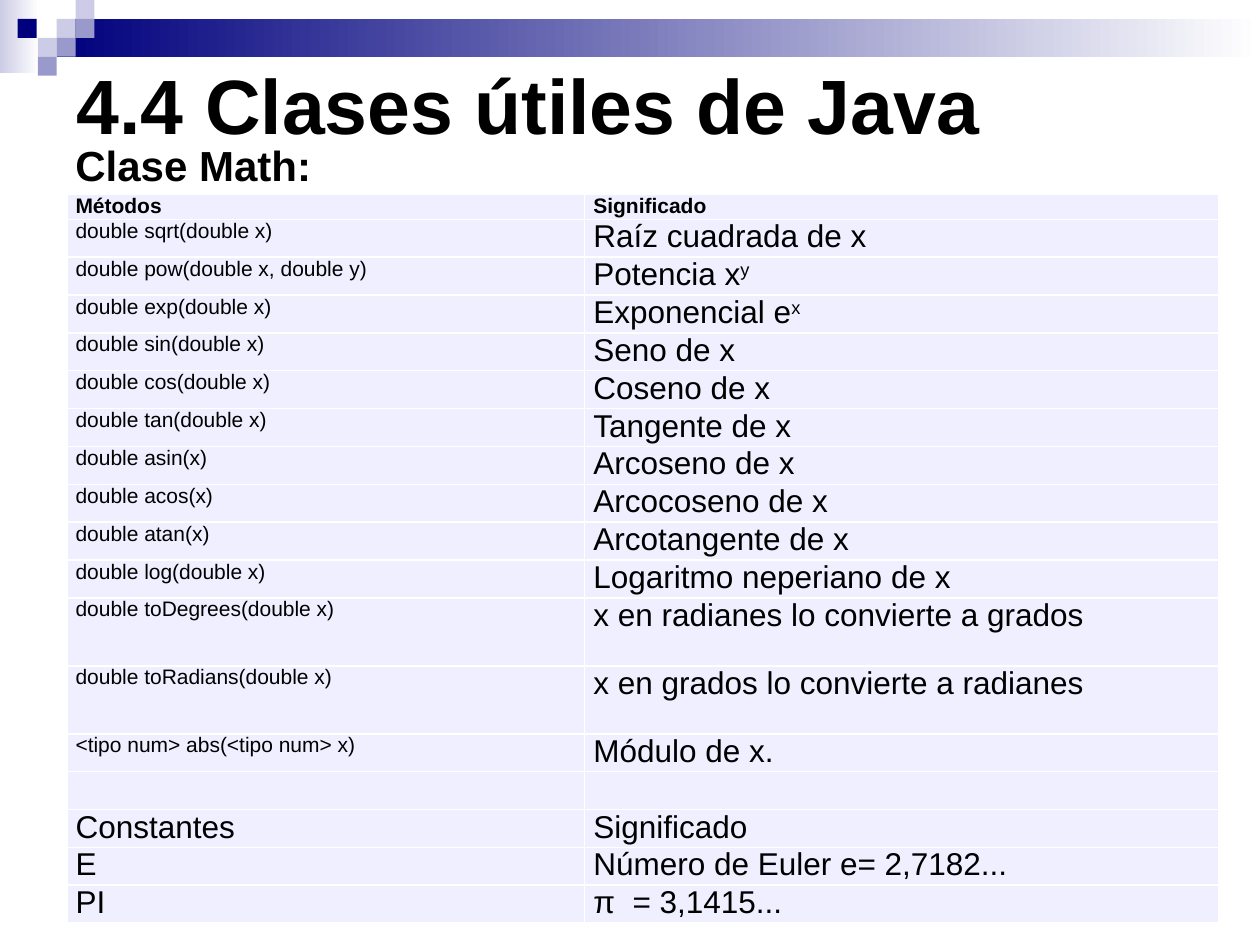
from lxml.etree import SubElement
from pptx import Presentation
from pptx.dml.color import RGBColor
from pptx.enum.shapes import MSO_SHAPE as Shape
from pptx.enum.text import MSO_ANCHOR as Anchor, PP_ALIGN as Align
from pptx.oxml.ns import qn
from pptx.util import Inches, Pt

NAVY, MID, PALE, WHITE = "00007D", "9999CC", "CCCCE6", "FFFFFF"
CELL, BLACK = "EFEFFF", "000000"
UNIT = 0.15  # side of a corner square

BARS = [(0, 0, 0.31, 0.58, PALE), (0.45, 0.15, 9.55, 0.3, NAVY)]
SQUARES = [
    (0.45, 0.15, PALE), (0.6, 0, PALE), (0.6, 0.15, MID), (0.3, 0.3, PALE),
    (0.14, 0.15, NAVY), (0.45, 0.3, MID), (0.3, 0.45, MID),
]

# method, meaning, superscript
METHODS = [
    ("double sqrt(double x)", "Raíz cuadrada de x", ""),
    ("double pow(double x, double y)", "Potencia x", "y"),
    ("double exp(double x)", "Exponencial e", "x"),
    ("double sin(double x)", "Seno de x", ""),
    ("double cos(double x)", "Coseno de x", ""),
    ("double tan(double x)", "Tangente de x", ""),
    ("double asin(x)", "Arcoseno de x", ""),
    ("double acos(x)", "Arcocoseno de x", ""),
    ("double atan(x)", "Arcotangente de x", ""),
    ("double log(double x)", "Logaritmo neperiano de x", ""),
    ("double toDegrees(double x)", "x en radianes lo convierte a grados", ""),
    ("double toRadians(double x)", "x en grados lo convierte a radianes", ""),
    ("<tipo num> abs(<tipo num> x)", "Módulo de x.", ""),
]
CONSTANTS = [
    ("Constantes", "Significado"),
    ("E", "Número de Euler e= 2,7182..."),
    ("PI", "π  = 3,1415..."),
]
TALL = ("toDegrees", "toRadians")


def color(code):
    return RGBColor.from_string(code)


def style(para, size, bold=False):
    for run in para.runs:
        font = run.font
        font.name, font.size, font.bold = "Arial", Pt(size), bold
        font.color.rgb = color(BLACK)


def place(shape, left, top, width, height):
    shape.left, shape.top = Inches(left), Inches(top)
    shape.width, shape.height = Inches(width), Inches(height)


def add_rect(slide, left, top, width, height):
    rect = slide.shapes.add_shape(
        Shape.RECTANGLE, Inches(left), Inches(top), Inches(width), Inches(height))
    rect.shadow.inherit = False
    rect.line.fill.background()
    return rect


def add_band(slide, left, top):
    """Fading bars and the corner squares."""
    for x, y, width, height, start in BARS:
        fill = add_rect(slide, left + x, top + y, width, height).fill
        fill.gradient()
        fill.gradient_angle = 0
        for stop, code in zip(fill.gradient_stops, (start, WHITE)):
            stop.color.rgb = color(code)
    for x, y, code in SQUARES:
        fill = add_rect(slide, left + x, top + y, UNIT, UNIT).fill
        fill.solid()
        fill.fore_color.rgb = color(code)


def set_title(slide, text, *box):
    title = slide.shapes.title
    place(title, *box)
    frame = title.text_frame
    frame.text = text
    frame.vertical_anchor = Anchor.MIDDLE
    para = frame.paragraphs[0]
    para.alignment = Align.LEFT
    style(para, 44, True)


def add_heading(slide, text, *box):
    frame = slide.shapes.add_textbox(*map(Inches, box)).text_frame
    frame.word_wrap = True
    frame.text = text
    para = frame.paragraphs[0]
    para.level = 1
    props = para._p.get_or_add_pPr()
    props.set("marL", str(Inches(0.5)))
    props.set("indent", "0")
    style(para, 24, True)


def add_border(cell):
    props = cell._tc.get_or_add_tcPr()
    for at, side in enumerate(("lnL", "lnR", "lnT", "lnB")):
        line = SubElement(props, qn("a:" + side), w=str(Pt(1)))
        solid = SubElement(line, qn("a:solidFill"))
        SubElement(solid, qn("a:srgbClr"), val=WHITE)
        props.insert(at, line)


def fill_cell(cell, text, size, bold=False, power=""):
    cell.margin_left = cell.margin_right = Inches(0.07)
    cell.margin_top = cell.margin_bottom = 0
    cell.fill.solid()
    cell.fill.fore_color.rgb = color(CELL)
    add_border(cell)
    if not text:
        return
    cell.text_frame.text = text
    para = cell.text_frame.paragraphs[0]
    if power:
        run = para.add_run()
        run.text = power
        run._r.get_or_add_rPr().set("baseline", "30000")
    style(para, size, bold)


def add_math(slide, left, top, widths):
    """Table of methods, a blank row, then constants."""
    rows = [(("Métodos", 12, True), ("Significado", 12, True))]
    rows += [((name, 12), (text, 18, False, power))
             for name, text, power in METHODS]
    rows += [(("", 18), ("", 18))]
    rows += [((name, 18), (text, 18)) for name, text in CONSTANTS]
    heights = [0.2] + [0.54 if any(word in row[0][0] for word in TALL) else 0.3
                       for row in rows[1:]]
    table = slide.shapes.add_table(
        len(rows), len(widths), Inches(left), Inches(top),
        Inches(sum(widths)), Inches(sum(heights))).table
    table.first_row = table.horz_banding = False
    for col, width in zip(table.columns, widths):
        col.width = Inches(width)
    for line, height, row in zip(table.rows, heights, rows):
        line.height = Inches(height)
        for cell, item in zip(line.cells, row):
            fill_cell(cell, *item)


def main():
    deck = Presentation()
    deck.slide_width, deck.slide_height = Inches(10), Inches(7.5)
    slide = deck.slides.add_slide(deck.slide_layouts[5])
    add_band(slide, 0, 0)
    set_title(slide, "4.4 Clases útiles de Java", 0.51, 0.07, 9, 1.5)
    add_heading(slide, "Clase Math:", 0, 1.06, 5.42, 0.5)
    add_math(slide, 0.53, 1.54, (4.11, 5.03))
    deck.save("out.pptx")


if __name__ == "__main__":
    main()
